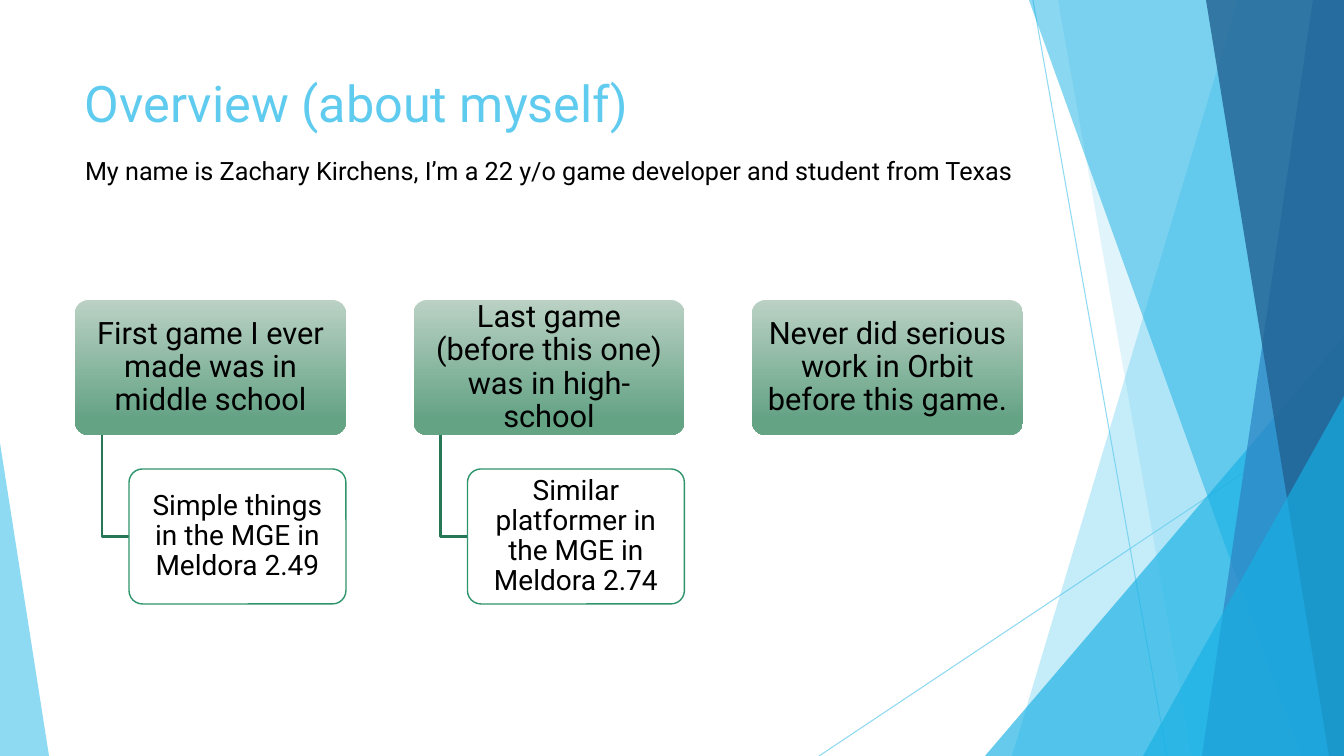
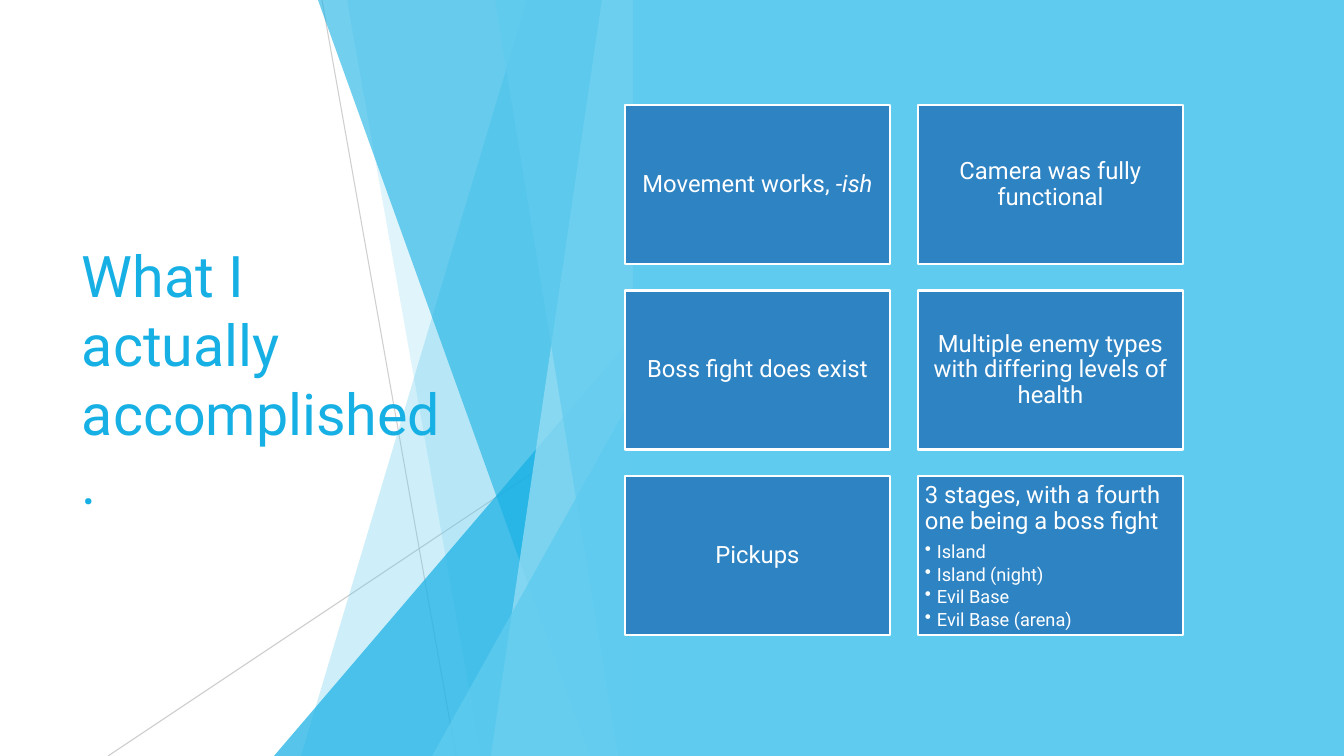
from lxml.etree import SubElement
from pptx import Presentation
from pptx.dml.color import RGBColor
from pptx.enum.shapes import MSO_CONNECTOR, MSO_SHAPE
from pptx.enum.text import MSO_ANCHOR, PP_ALIGN
from pptx.oxml.ns import qn
from pptx.util import Pt

SLIDE_WIDTH, SLIDE_HEIGHT = 1344, 756
SCALE = 12192000 / SLIDE_WIDTH
FONT = "Roboto"
SKY, CYAN, BLUE, NAVY, PALE = "5FCBEF", "17B0E4", "2E83C3", "226292", "9FE0F5"
WHITE, BLACK, GREY = "FFFFFF", "000000", "BFBFBF"
GREEN_LIGHT, GREEN, GREEN_LINE, GREEN_DARK = "BAD1C4", "65A385", "2E946B", "257756"

# Facets as distances from the right edge: blades (top, bottom), triangles (width, top)
FACET_LINES = [((311, 0), (177, 756)), ((0, 406), (525, 756))]
FACETS = [
    ("blade", 106, 332), ("blade", 286, 152), ("triangle", 359, 336),
    ("blade", 315, 43), ("blade", 31, 142), ("blade", 138, 15),
    ("triangle", 201, 396),
]


# Shared helpers
def px(length):
    return round(length * SCALE)


def color(hex_string):
    return RGBColor.from_string(hex_string)


def set_opacity(shape, percent):
    for element in shape._element.spPr.iter(qn("a:srgbClr")):
        SubElement(element, qn("a:alpha")).set("val", str(percent * 1000))


def style_shape(shape, fill=None, line=None, line_width=1):
    shape.shadow.inherit = False
    if fill:
        shape.fill.solid()
        shape.fill.fore_color.rgb = color(fill)
    else:
        shape.fill.background()
    if line:
        shape.line.color.rgb = color(line)
        shape.line.width = Pt(line_width)
    else:
        shape.line.fill.background()
    return shape


def add_box(slide, kind, box, fill=None, line=None, line_width=1):
    shape = slide.shapes.add_shape(kind, *map(px, box))
    return style_shape(shape, fill, line, line_width)


def add_outline(slide, points, closed=True, **style):
    points = [(px(x), px(y)) for x, y in points]
    builder = slide.shapes.build_freeform(*points[0])
    builder.add_line_segments(points[1:], close=closed)
    return style_shape(builder.convert_to_shape(), **style)


def format_paragraph(paragraph, size, text_color, align=PP_ALIGN.LEFT):
    paragraph.alignment = align
    for run in paragraph.runs:
        run.font.name = FONT
        run.font.size = Pt(size)
        run.font.color.rgb = color(text_color)


def set_insets(text_frame, horizontal, vertical):
    text_frame.margin_left = text_frame.margin_right = px(horizontal)
    text_frame.margin_top = text_frame.margin_bottom = px(vertical)


def add_text(slide, box, text, size, text_color, anchor=MSO_ANCHOR.TOP):
    text_frame = slide.shapes.add_textbox(*map(px, box)).text_frame
    text_frame.word_wrap = True
    text_frame.vertical_anchor = anchor
    set_insets(text_frame, 10, 5)
    text_frame.text = text
    format_paragraph(text_frame.paragraphs[0], size, text_color)


def fill_label(shape, text, size, text_color, inset):
    text_frame = shape.text_frame
    text_frame.word_wrap = True
    text_frame.vertical_anchor = MSO_ANCHOR.MIDDLE
    set_insets(text_frame, inset, 7)
    text_frame.text = text
    paragraph = text_frame.paragraphs[0]
    paragraph.line_spacing = 0.9
    format_paragraph(paragraph, size, text_color, PP_ALIGN.CENTER)


def add_triangle(slide, box, fill, opacity, apex):
    triangle = add_box(slide, MSO_SHAPE.ISOSCELES_TRIANGLE, box, fill)
    triangle.adjustments[0] = apex
    set_opacity(triangle, opacity)


# Decorative band of facets that ends at the given right edge
def add_facets(slide, right, line_color, line_opacities, styles):
    for (start, end), opacity in zip(FACET_LINES, line_opacities):
        connector = slide.shapes.add_connector(
            MSO_CONNECTOR.STRAIGHT,
            px(right - start[0]), px(start[1]), px(right - end[0]), px(end[1]))
        connector.line.color.rgb = color(line_color)
        connector.line.width = Pt(0.75)
        set_opacity(connector, opacity)
        SubElement(connector._element.spPr, qn("a:effectLst"))
    for (kind, first, second), (fill, opacity) in zip(FACETS, styles):
        if kind == "triangle":
            box = (right - first, second, first, SLIDE_HEIGHT - second)
            add_triangle(slide, box, fill, opacity, 1)
        else:
            points = [(right - first, 0), (right, 0),
                      (right, SLIDE_HEIGHT), (right - second, SLIDE_HEIGHT)]
            set_opacity(add_outline(slide, points, fill=fill), opacity)


# Row of topics, each with an optional detail hanging below it
def add_topic_row(slide, box, topics):
    left, top, width, height = box
    topic_width, topic_height, indent = 271, 135, 54
    pitch = (width - topic_width) / (len(topics) - 1)
    detail_top = top + height - topic_height
    for index, (topic, detail) in enumerate(topics):
        x = left + index * pitch
        shape = add_box(slide, MSO_SHAPE.ROUNDED_RECTANGLE,
                        (x, top, topic_width, topic_height))
        shape.adjustments[0] = 0.1
        shape.fill.gradient()
        shape.fill.gradient_angle = 270
        stops = shape.fill.gradient_stops
        for stop, position, shade in zip(stops, (0, 0.88), (GREEN_LIGHT, GREEN)):
            stop.position = position
            stop.color.rgb = color(shade)
        fill_label(shape, topic, 22, BLACK, 9)
        if detail:
            middle = detail_top + topic_height / 2
            elbow = [(x + indent / 2, top + topic_height),
                     (x + indent / 2, middle), (x + indent, middle)]
            add_outline(slide, elbow, closed=False, line=GREEN_DARK, line_width=1.5)
            shape = add_box(slide, MSO_SHAPE.ROUNDED_RECTANGLE,
                            (x + indent, detail_top, topic_width - indent, topic_height),
                            WHITE, GREEN_LINE)
            shape.adjustments[0] = 0.1
            fill_label(shape, detail, 20, BLACK, 8)


# Grid of cards, two in a row
def add_card_grid(slide, box, labels):
    left, top, width, height = box
    card_width, card_height, columns = 265, 159, 2
    rows = len(labels) // columns
    column_pitch = (width - card_width) / (columns - 1)
    row_pitch = (height - card_height) / (rows - 1)
    cards = []
    for index, label in enumerate(labels):
        row, column = divmod(index, columns)
        card = add_box(slide, MSO_SHAPE.RECTANGLE,
                       (left + column * column_pitch, top + row * row_pitch,
                        card_width, card_height), BLUE, WHITE, 2)
        fill_label(card, label, 17, WHITE, 7)
        cards.append(card)
    return cards


def add_bullets(card, items):
    text_frame = card.text_frame
    text_frame.vertical_anchor = MSO_ANCHOR.TOP
    heading = text_frame.paragraphs[0]
    heading.alignment = PP_ALIGN.LEFT
    heading.space_after = Pt(6)
    for item in items:
        paragraph = text_frame.add_paragraph()
        paragraph.text = item
        paragraph.level = 1
        paragraph.line_spacing = 0.9
        paragraph.space_after = Pt(2)
        format_paragraph(paragraph, 13, WHITE)
        properties = paragraph._p.get_or_add_pPr()
        properties.set("marL", str(px(12)))
        properties.set("indent", str(px(-12)))
        SubElement(properties, qn("a:buChar")).set("char", "•")


def build_overview(slide):
    add_facets(slide, SLIDE_WIDTH, SKY, (70, 70), [
        (SKY, 36), (SKY, 20), (CYAN, 66), (CYAN, 50),
        (BLUE, 70), (NAVY, 80), (CYAN, 66)])
    add_triangle(slide, (0, 443, 49, 313), SKY, 70, 0)
    add_text(slide, (75, 67, 948, 145), "Overview (about myself)", 36, SKY)
    add_topic_row(slide, (75, 300, 948, 304), [
        ("First game I ever made was in middle school",
         "Simple things in the MGE in Meldora 2.49"),
        ("Last game (before this one) was in high-school",
         "Similar platformer in the MGE in Meldora 2.74"),
        ("Never did serious work in Orbit before this game.", None)])
    add_text(slide, (75, 150, 964, 40),
             "My name is Zachary Kirchens, I’m a 22 y/o game developer "
             "and student from Texas", 18, BLACK)


def build_accomplishments(slide):
    panel_left = 633
    add_facets(slide, panel_left, GREY, (75, 80), [
        (SKY, 30), (SKY, 20), (CYAN, 72), (CYAN, 60),
        (PALE, 70), (SKY, 65), (SKY, 80)])
    add_text(slide, (72, 152, 391, 452), "What I actually accomplished.",
             41, CYAN, MSO_ANCHOR.MIDDLE)
    add_box(slide, MSO_SHAPE.RECTANGLE,
            (panel_left, 0, SLIDE_WIDTH - panel_left, SLIDE_HEIGHT), SKY)
    cards = add_card_grid(slide, (625, 105, 558, 530), [
        "Movement works, ", "Camera was fully functional",
        "Boss fight does exist",
        "Multiple enemy types with differing levels of health",
        "Pickups", "3 stages, with a fourth one being a boss fight"])
    movement = cards[0].text_frame.paragraphs[0]
    suffix = movement.add_run()
    suffix.text = "-ish"
    suffix.font.italic = True
    format_paragraph(movement, 17, WHITE, PP_ALIGN.CENTER)
    add_bullets(cards[-1], ["Island", "Island (night)", "Evil Base", "Evil Base (arena)"])


presentation = Presentation()
presentation.slide_width = px(SLIDE_WIDTH)
presentation.slide_height = px(SLIDE_HEIGHT)
for build in (build_overview, build_accomplishments):
    build(presentation.slides.add_slide(presentation.slide_layouts[6]))
presentation.save("out.pptx")
